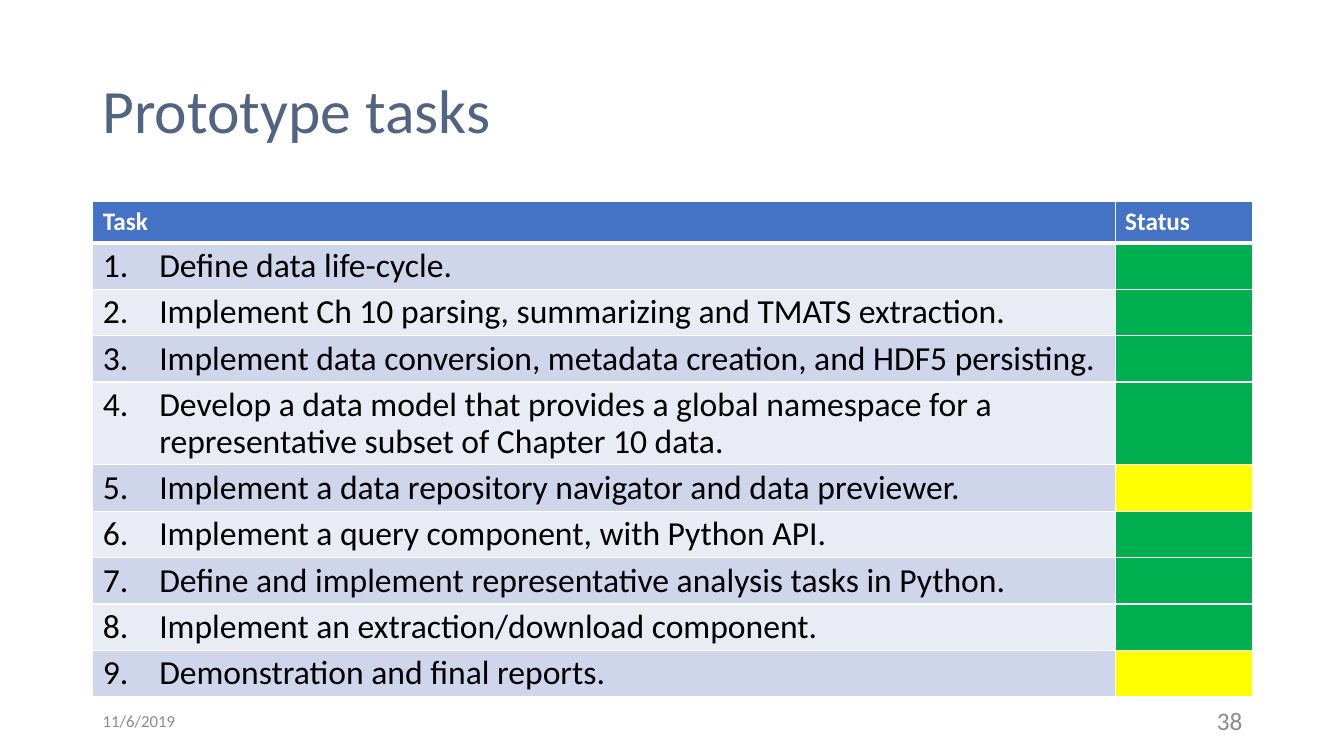
"""Build the prototype task status slide."""
import pptx
import pptx.dml.color
import pptx.enum.text
import pptx.oxml
import pptx.oxml.ns
import pptx.util

Inches = pptx.util.Inches
Pt = pptx.util.Pt
Align = pptx.enum.text.PP_ALIGN
COLORS = {"title": "516482", "header": "4472C4", "odd": "CFD5EA", "even": "E9EBF5",
          "done": "00B050", "open": "FFFF00", "white": "FFFFFF", "black": "000000",
          "footer": "8C8C8C"}
TASKS = [
    ("Define data life-cycle.", "done"),
    ("Implement Ch 10 parsing, summarizing and TMATS extraction.", "done"),
    ("Implement data conversion, metadata creation, and HDF5 persisting.", "done"),
    ("Develop a data model that provides a global namespace for a "
     "representative subset of Chapter 10 data.", "done"),
    ("Implement a data repository navigator and data previewer.", "open"),
    ("Implement a query component, with Python API.", "done"),
    ("Define and implement representative analysis tasks in Python.", "done"),
    ("Implement an extraction/download component.", "done"),
    ("Demonstration and final reports.", "open"),
]


def write(frame, text, size, color, bold=False, **layout):
    """Fill the first paragraph of a text frame and return it."""
    para = frame.paragraphs[0]
    for name, value in layout.items():
        setattr(para, name, value)
    span = para.add_run()
    span.text = text
    for name, value in {"name": "Calibri", "size": Pt(size), "bold": bold}.items():
        setattr(span.font, name, value)
    span.font.color.rgb = pptx.dml.color.RGBColor.from_string(COLORS[color])
    return para


def paint(cell, color, top, bottom):
    """Give a cell white borders and a solid fill."""
    properties = cell._tc.get_or_add_tcPr()
    for side, width in {"L": 1, "R": 1, "T": top, "B": bottom}.items():
        properties.append(pptx.oxml.parse_xml(
            f'<a:ln{side} {pptx.oxml.ns.nsdecls("a")} w="{Pt(width)}"><a:solidFill>'
            f'<a:srgbClr val="{COLORS["white"]}"/></a:solidFill></a:ln{side}>'))
    cell.fill.solid()
    cell.fill.fore_color.rgb = pptx.dml.color.RGBColor.from_string(COLORS[color])


deck = pptx.Presentation()
deck.slide_width, deck.slide_height = Inches(13.33), Inches(7.5)
page = deck.slides.add_slide(deck.slide_layouts[6])

labels = [
    ("Prototype tasks", (0.92, 0.4, 9.36, 1.45), 44, "title",
     {"line_spacing": 0.9}),
    ("11/6/2019", (0.92, 6.95, 3, 0.4), 12, "footer", {}),
    ("38", (9.42, 6.95, 3, 0.4), 18, "footer", {"alignment": Align.RIGHT}),
]
for text, place, size, color, layout in labels:
    box = page.shapes.add_textbox(*map(Inches, place))
    box.text_frame.word_wrap = True
    box.text_frame.vertical_anchor = pptx.enum.text.MSO_ANCHOR.MIDDLE
    write(box.text_frame, text, size, color, **layout)

row_count = len(TASKS) + 1
table = page.shapes.add_table(row_count, 2, Inches(0.92), Inches(2),
                              Inches(11.5), Inches(0.41 * row_count)).table
for column, width in zip(table.columns, (10.14, 1.36)):
    column.width = Inches(width)

for column, heading in enumerate(("Task", "Status")):
    cell = table.cell(0, column)
    paint(cell, "header", 1, 3)
    write(cell.text_frame, heading, 18, "white", bold=True)

for number, (task, status) in enumerate(TASKS, 1):
    top = 3 if number == 1 else 1
    task_cell = table.cell(number, 0)
    paint(task_cell, "odd" if number % 2 else "even", top, 1)
    paint(table.cell(number, 1), status, top, 1)
    para = write(task_cell.text_frame, task, 24, "black",
                 line_spacing=0.9, space_before=Pt(10))
    properties = para._p.get_or_add_pPr()
    properties.set("marL", str(Inches(0.56)))
    properties.set("indent", str(Inches(-0.56)))
    properties.append(pptx.oxml.parse_xml(
        f'<a:buFont {pptx.oxml.ns.nsdecls("a")} typeface="+mj-lt"/>'))
    properties.append(pptx.oxml.parse_xml(
        f'<a:buAutoNum {pptx.oxml.ns.nsdecls("a")} type="arabicPeriod" startAt="{number}"/>'))

deck.save("out.pptx")
